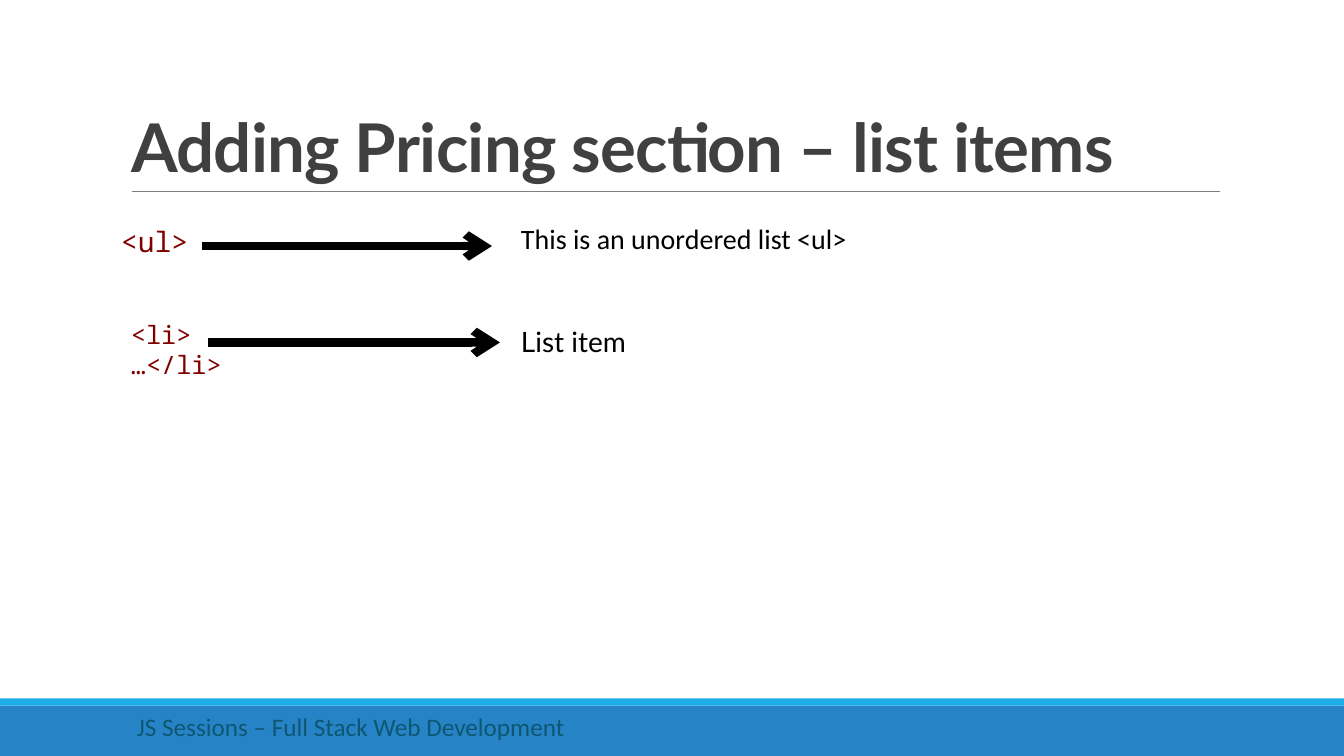
from lxml import etree
from pptx import Presentation
from pptx.dml.color import RGBColor
from pptx.enum.shapes import MSO_CONNECTOR as Connector, MSO_SHAPE as Shape
from pptx.enum.text import MSO_ANCHOR as Anchor, MSO_AUTO_SIZE as AutoSize, PP_ALIGN as Align
from pptx.oxml.ns import qn
from pptx.util import Cm, Pt

COLORS = {"band": "2683C6", "strip": "1CADE4", "rule": "808080", "title": "404040",
          "code": "800000", "text": "000000", "footer": "0E5772"}
CODE_FONT = "Noto Sans Mono"
WIDTH, HEIGHT = 33.87, 19.05
MARGIN = 3.05


def color(name):
    """Return the named colour."""
    return RGBColor.from_string(COLORS[name])


def style(paragraph, font, size, color_name):
    """Set the font of a whole paragraph."""
    paragraph.font.name = font
    paragraph.font.size = Pt(size)
    paragraph.font.color.rgb = color(color_name)


def add_text(slide, box, lines, font, size, color_name, inset=0.0, spaced=False):
    """Add a wrapping text box with one paragraph per line."""
    frame = slide.shapes.add_textbox(*map(Cm, box)).text_frame
    frame.word_wrap = True
    frame.margin_left, frame.margin_right = Cm(inset), Cm(0)
    frame.text = "\n".join(lines)
    for paragraph in frame.paragraphs:
        style(paragraph, font, size, color_name)
        if spaced:
            paragraph.line_spacing = 0.9
            paragraph.space_before, paragraph.space_after = Pt(12), Pt(2)


def add_line(slide, start, end, y, color_name, width, arrow=False):
    """Add a horizontal line, with an arrowhead at its end if asked."""
    line = slide.shapes.add_connector(Connector.STRAIGHT, Cm(start), Cm(y), Cm(end), Cm(y))
    line.line.color.rgb = color(color_name)
    line.line.width = Pt(width)
    if arrow:
        etree.SubElement(line.line._get_or_add_ln(), qn("a:tailEnd"), type="arrow")
    etree.SubElement(line._element.spPr, qn("a:effectLst"))


def add_band(slide, box, color_name):
    """Add a plain filled rectangle."""
    band = slide.shapes.add_shape(Shape.RECTANGLE, *map(Cm, box))
    band.shadow.inherit = False
    band.fill.solid()
    band.fill.fore_color.rgb = color(color_name)
    band.line.fill.background()


def add_title(slide, box, text):
    """Place the title in its box, with a rule along the bottom."""
    left, top, width, height = box
    title = slide.shapes.title
    title.left, title.top, title.width, title.height = map(Cm, box)
    frame = title.text_frame
    frame.text = text
    frame.auto_size = AutoSize.NONE
    frame.vertical_anchor = Anchor.BOTTOM
    paragraph = frame.paragraphs[0]
    paragraph.alignment = Align.LEFT
    paragraph.line_spacing = 0.85
    style(paragraph, "Lato", 48, "title")
    paragraph.font.bold = True
    paragraph.runs[0].font._element.set("spc", "-50")
    add_line(slide, left + 0.28, left + width - 0.25, top + height, "rule", 0.5)


def add_unordered_list_row(slide, left, top):
    """Explain the list tag."""
    add_text(slide, (left, top + 0.08, 4.9, 1.4), ["<ul>"], CODE_FONT, 20, "code", spaced=True)
    add_line(slide, left + 2.03, left + 9.35, top + 0.64, "text", 6, arrow=True)
    add_text(slide, (left + 10.08, top, 14.05, 1.88), ["This is an unordered list <ul>"],
             "Calibri", 20, "text", spaced=True)


def add_list_item_row(slide, left, top):
    """Explain the list item tag."""
    add_text(slide, (left, top, 3.48, 1.8), ["<li>", "…</li>"], CODE_FONT, 18, "code", 0.25)
    add_line(slide, left + 2.18, left + 9.55, top + 0.71, "text", 6, arrow=True)
    add_text(slide, (left + 10.08, top + 0.23, 16.74, 1.37), ["List item"],
             "Lato", 20, "text", spaced=True)


def add_footer(slide, box, text):
    """Draw the bottom band, its bright strip and the course name."""
    left, top, width, height = box
    strip = 0.18
    add_band(slide, (left, top + strip, width, height - strip), "band")
    add_band(slide, (left, top, width, strip), "strip")
    add_text(slide, (left + MARGIN, top + 0.2, 19.76, 1.02), [text],
             "Calibri", 18, "footer", 0.4)


def main():
    """Build the slide and save it."""
    presentation = Presentation()
    presentation.slide_width, presentation.slide_height = Cm(WIDTH), Cm(HEIGHT)
    slide = presentation.slides.add_slide(presentation.slide_layouts[5])
    add_footer(slide, (0, 17.6, WIDTH, HEIGHT - 17.6), "JS Sessions – Full Stack Web Development")
    add_title(slide, (MARGIN, 0.79, 27.94, 4.04), "Adding Pricing section – list items")
    add_unordered_list_row(slide, MARGIN, 5.56)
    add_list_item_row(slide, MARGIN, 7.92)
    presentation.save("out.pptx")


main()
